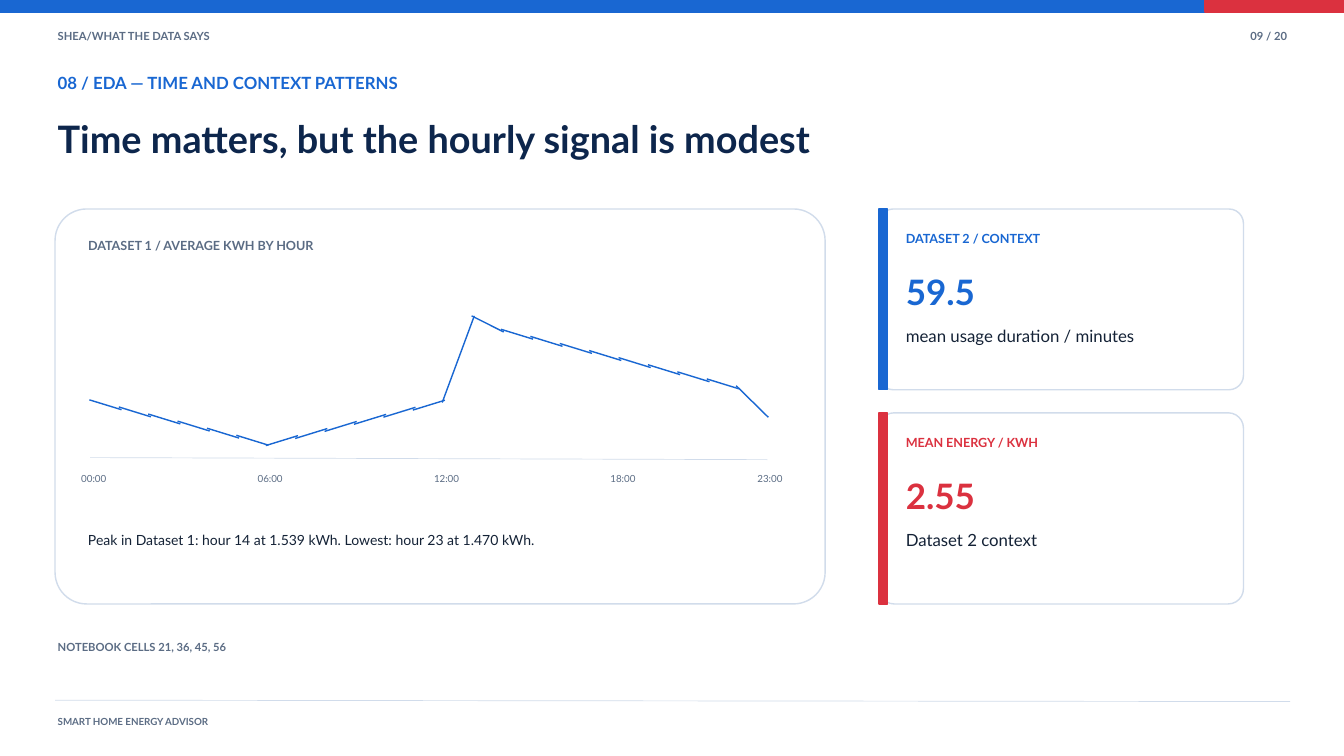
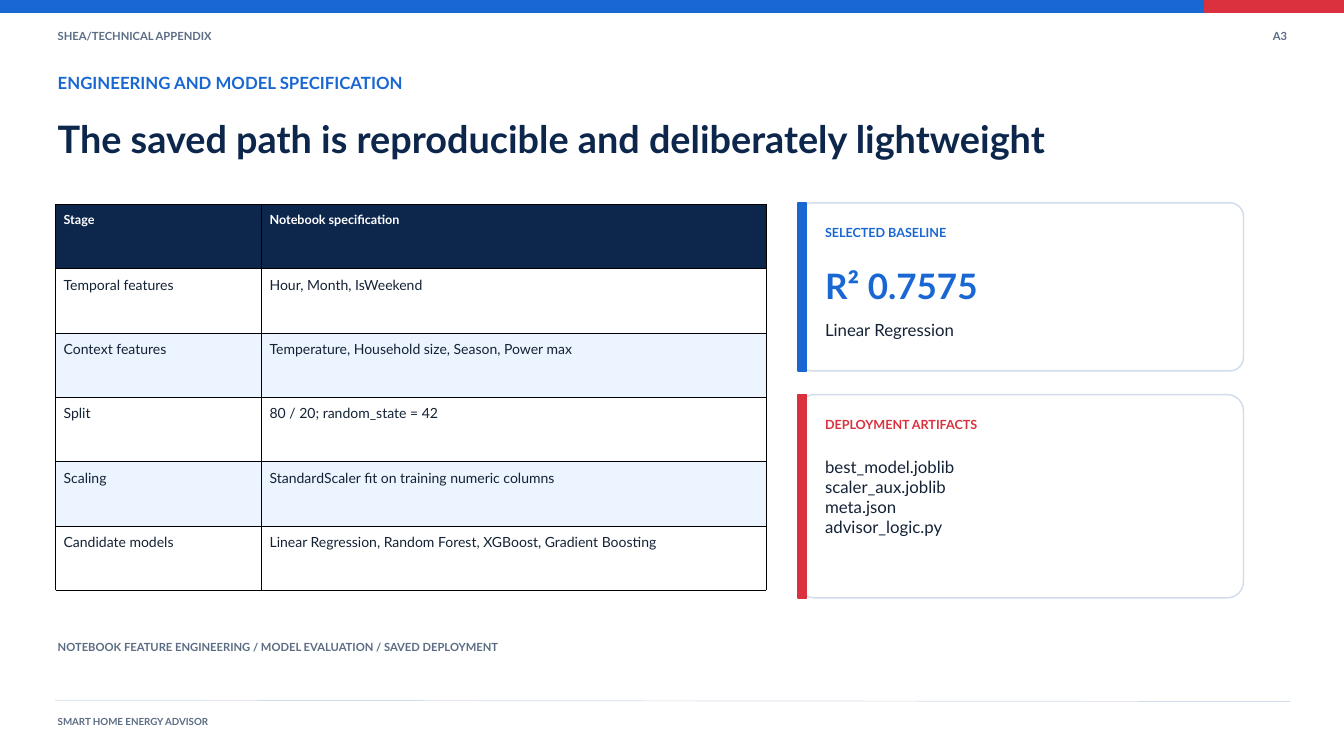
"""Build two energy advisor slides: hourly usage patterns and the model specification."""
from lxml import etree
from pptx import Presentation
from pptx import util as u
from pptx.dml.color import RGBColor
from pptx.enum import shapes, text
from pptx.oxml import ns

Pt = u.Pt
rgb = RGBColor.from_string
BLUE, RED, NAVY, INK = "1967D2", "DB313F", "0D264C", "142236"
SLATE, RULE, WHITE, PALE = "5B6C84", "D1DCEB", "FFFFFF", "EBF4FF"
MARGIN = 61.8


def write(frame, words, size, colour, bold=True, align=text.PP_ALIGN.LEFT):
    """Fill a text frame with evenly formatted paragraphs."""
    frame.text = words
    for paragraph in frame.paragraphs:
        paragraph.alignment = align
        paragraph.line_spacing = Pt(size * 1.2)
        paragraph.space_before = Pt(0)
        font = paragraph.font
        font.name, font.size, font.bold = "Lato", Pt(size), bold
        font.color.rgb = rgb(colour)


def place(shape, left, top, width, height, *style):
    """Position a text shape without insets and write its text."""
    shape.left, shape.top, shape.width, shape.height = map(Pt, (left, top, width, height))
    frame = shape.text_frame
    frame.margin_left = frame.margin_top = frame.margin_right = frame.margin_bottom = 0
    frame.vertical_anchor = text.MSO_ANCHOR.TOP
    frame.word_wrap = True
    frame.auto_size = text.MSO_AUTO_SIZE.SHAPE_TO_FIT_TEXT
    write(frame, *style)


presentation = Presentation()
presentation.slide_width, presentation.slide_height = Pt(1440), Pt(810)
layouts = presentation.slide_layouts
patterns = presentation.slides.add_slide(layouts[5])
specification = presentation.slides.add_slide(layouts[1])

headings = [
    (patterns, "SHEA/WHAT THE DATA SAYS", "09 / 20", "08 / EDA — TIME AND CONTEXT PATTERNS",
     "Time matters, but the hourly signal is modest", "NOTEBOOK CELLS 21, 36, 45, 56"),
    (specification, "SHEA/TECHNICAL APPENDIX", "A3", "ENGINEERING AND MODEL SPECIFICATION",
     "The saved path is reproducible and deliberately lightweight",
     "NOTEBOOK FEATURE ENGINEERING / MODEL EVALUATION / SAVED DEPLOYMENT"),
]
artifacts = "best_model.joblib\nscaler_aux.joblib\nmeta.json\nadvisor_logic.py"
cards = [
    (patterns, 941.7, 223.9, 390.6, 193.7, BLUE,
     "DATASET 2 / CONTEXT", "59.5", "mean usage duration / minutes"),
    (patterns, 941.7, 442.3, 390.6, 204.8, RED,
     "MEAN ENERGY / KWH", "2.55", "Dataset 2 context"),
    (specification, 855.2, 217.4, 477.1, 180, BLUE,
     "SELECTED BASELINE", "R² 0.7575", "Linear Regression"),
    (specification, 855.2, 422.8, 477.1, 217.8, RED, "DEPLOYMENT ARTIFACTS", None, artifacts),
]

RECTANGLE = shapes.MSO_SHAPE.RECTANGLE
ROUNDED = shapes.MSO_SHAPE.ROUNDED_RECTANGLE
blocks = [(patterns, ROUNDED, 59, 223.9, 825.1, 423.2, WHITE, RULE)]
for slide, *_ in headings:
    blocks.append((slide, RECTANGLE, -0.75, -0.75, 1443, 13.5, BLUE, BLUE))
    blocks.append((slide, RECTANGLE, 1291, -0.75, 151.25, 13.5, RED, RED))
for slide, left, top, width, height, accent, *_ in cards:
    blocks.append((slide, ROUNDED, left, top, width, height, WHITE, RULE))
    blocks.append((slide, RECTANGLE, left, top, 9, height, accent, accent))
for slide, kind, left, top, width, height, fill, outline in blocks:
    shape = slide.shapes.add_shape(kind, Pt(left), Pt(top), Pt(width), Pt(height))
    if kind == ROUNDED:
        shape.adjustments[0] = 0.08
    shape.shadow.inherit = False
    shape.fill.solid()
    shape.fill.fore_color.rgb = rgb(fill)
    shape.line.color.rgb = rgb(outline)
    shape.line.width = Pt(1.5)

labels = [
    (patterns, 94.3, 255.4, 536, 18, "DATASET 1 / AVERAGE KWH BY HOUR", 13.5, SLATE),
    (patterns, 94.3, 569.2, 731, 42.5,
     "Peak in Dataset 1: hour 14 at 1.539 kWh. Lowest: hour 23 at 1.470 kWh.", 15, INK, False),
]
for slide, section, page, kicker, headline, source in headings:
    place(slide.shapes.title, MARGIN, 123.8, 1298, 83.5, headline, 40.5, NAVY)
    labels += [
        (slide, MARGIN, 31.5, 860, 21.6, section, 12, SLATE),
        (slide, 1275, 31.5, 104, 21.6, page, 12, SLATE, True, text.PP_ALIGN.RIGHT),
        (slide, MARGIN, 77.6, 1298, 33.8, kicker, 18, BLUE),
        (slide, MARGIN, 766.5, 428, 15.8, "SMART HOME ENERGY ADVISOR", 10.5, SLATE),
        (slide, MARGIN, 686, 968, 17.3, source, 12, SLATE),
    ]
HOUR_STEP = 31.5
for hour in (0, 6, 12, 18, 23):
    labels.append((patterns, 75.6 + hour * HOUR_STEP, 506.2, 49.7, 18, f"{hour:02}:00",
                   10.5, SLATE, False, text.PP_ALIGN.CENTER))
for slide, left, top, width, height, accent, label, value, caption in cards:
    inner_left, inner_width = left + 28.8, width - 51.8
    labels.append((slide, inner_left, top + 23.8, inner_width, 20.2, label, 13.5, accent))
    if value:
        labels += [
            (slide, inner_left, top + 65.8, inner_width, 47.5, value, 37.5, accent),
            (slide, inner_left, top + 125.3, inner_width, height - 146.9, caption, 18, INK, False),
        ]
    else:
        body = slide.placeholders[1]
        place(body, inner_left, top + 66, inner_width, height - 87.6, caption, 18, INK, False)
        body.element.getparent().append(body.element)
        for properties in body.element.iter(ns.qn("a:pPr")):
            properties.set("marL", "0")
            properties.set("indent", "0")
            bullet = etree.Element(ns.qn("a:buNone"))
            properties.find(ns.qn("a:defRPr")).addprevious(bullet)
for slide, left, top, width, height, *style in labels:
    box = slide.shapes.add_textbox(0, 0, 0, 0)
    place(box, left, top, width, height, *style)

strokes = [(slide, 59, 750.2, 1382.4, 751.7, RULE, 0.75) for slide, *_ in headings]
strokes.append((patterns, 96.5, 490.3, 822.2, 492.5, RULE, 0.75))
hour_runs = [(428.4, 10.6, 6), (477.4, -10.6, 6), (431.3, -92.9, 1),
             (338.4, 17.3, 1), (352.8, 10.6, 8), (413.3, 33.8, 1)]
left = 95.8
for start, change, count in hour_runs:
    for index in range(count):
        top = start + index * (7.6 if change > 0 else -7.6)
        strokes.append((patterns, left, top, left + 34.4, top + change, BLUE, 1.5))
        left += HOUR_STEP
for slide, x1, y1, x2, y2, colour, weight in strokes:
    connector = slide.shapes.add_connector(
        shapes.MSO_CONNECTOR.STRAIGHT, Pt(x1), Pt(y1), Pt(x2), Pt(y2))
    connector.line.color.rgb = rgb(colour)
    connector.line.width = Pt(weight)
    etree.SubElement(connector.element.spPr, ns.qn("a:effectLst"))

rows = [
    ("Stage", "Notebook specification"),
    ("Temporal features", "Hour, Month, IsWeekend"),
    ("Context features", "Temperature, Household size, Season, Power max"),
    ("Split", "80 / 20; random_state = 42"),
    ("Scaling", "StandardScaler fit on training numeric columns"),
    ("Candidate models", "Linear Regression, Random Forest, XGBoost, Gradient Boosting"),
]
table = specification.shapes.add_table(
    len(rows), 2, Pt(59.6), Pt(218.5), Pt(761.3), Pt(414)).table
table.horz_banding = False
table.columns[0].width, table.columns[1].width = Pt(220.7), Pt(540.6)
for row_index, row in enumerate(rows):
    header = row_index == 0
    fill = NAVY if header else WHITE if row_index % 2 else PALE
    for column_index, words in enumerate(row):
        cell = table.cell(row_index, column_index)
        write(cell.text_frame, words, 13.5 if header else 15, WHITE if header else INK, header)
        cell.margin_left = cell.margin_top = cell.margin_right = cell.margin_bottom = Pt(8.6)
        properties = cell._tc.get_or_add_tcPr()
        for side in ("a:lnL", "a:lnR", "a:lnT", "a:lnB"):
            border = etree.SubElement(properties, ns.qn(side), w=str(Pt(0.37)))
            solid = etree.SubElement(border, ns.qn("a:solidFill"))
            etree.SubElement(solid, ns.qn("a:srgbClr"), val="000000")
        cell.fill.solid()
        cell.fill.fore_color.rgb = rgb(fill)

presentation.save("out.pptx")
